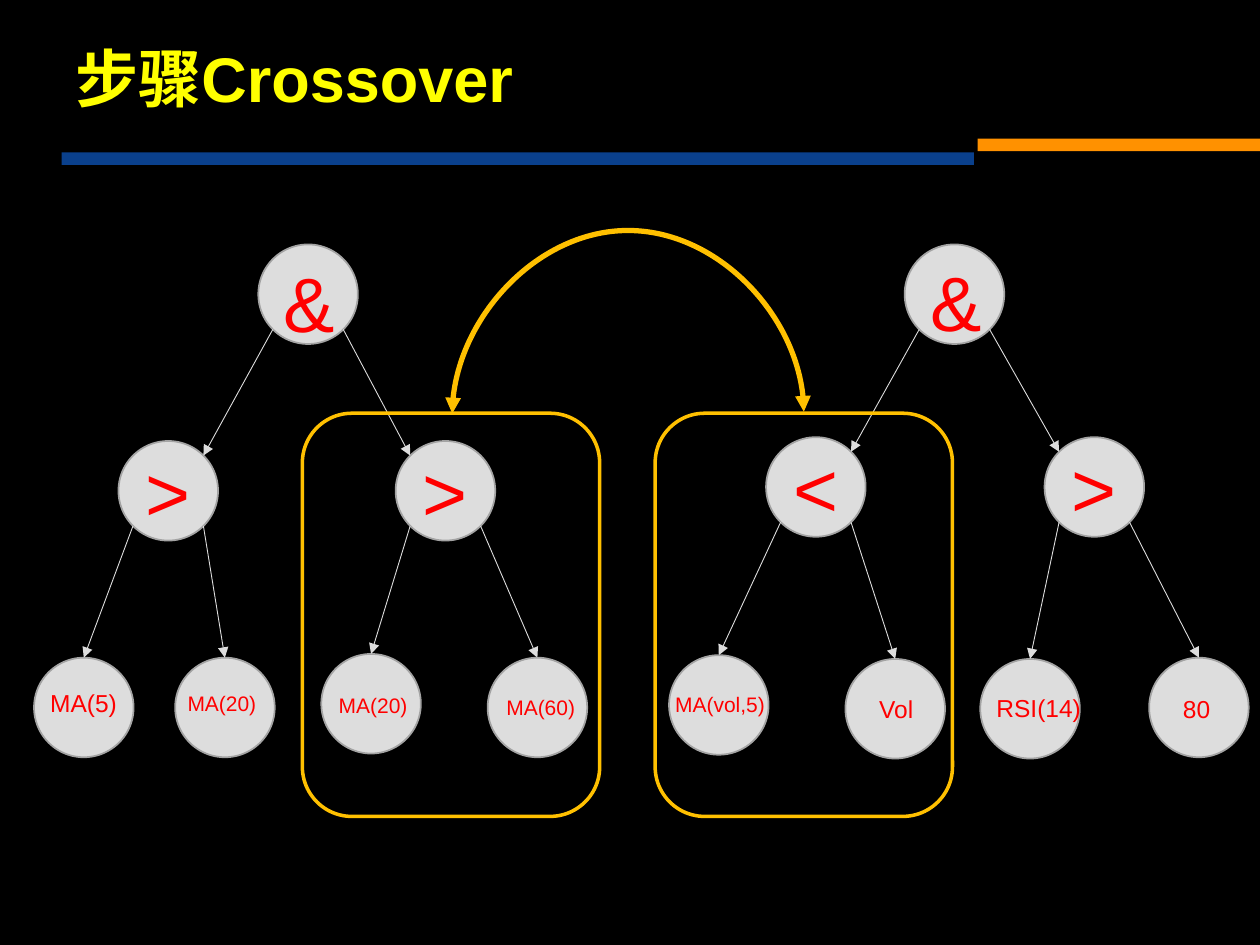
from math import sqrt
from lxml import etree
from pptx import Presentation
from pptx import util as u
from pptx.dml.color import RGBColor
from pptx.enum import shapes, text
from pptx.oxml.ns import qn

WIDTH, HEIGHT = u.Inches(10), u.Inches(7.5)
COL, ROW = WIDTH / 100, HEIGHT / 75
NODE = 7.9
NEAR = NODE / 2 * (1 - 1 / sqrt(2))
FAR = NODE - NEAR
RED, GREY, GOLD = "FF0000", "DDDDDD", "FFC000"

# node: left, top; label: text, size, left, top, width, height
TREES = [
    {
        "root": (20.5, 19.4), "and": (21.5, 19.8),
        "branches": [
            (">", 9.4, 35, [
                (2.7, 52.2, "MA(5)", 14, 3, 54.1, 9.3),
                (13.9, 52.2, "MA(20)", 12, 13.9, 54.3, 7.7)]),
            (">", 31.4, 35, [
                (25.5, 51.9, "MA(20)", 12, 25.9, 54.5, 7.7),
                (38.7, 52.2, "MA(60)", 12, 39.2, 54.6, 11.8)]),
        ],
    },
    {
        "root": (71.8, 19.4), "and": (72.9, 19.7),
        "branches": [
            ("<", 60.8, 34.7, [
                (53.1, 52, "MA(vol,5)", 12, 52.6, 54.4, 9.8),
                (67.1, 52.3, "Vol", 14, 68.8, 54.6, 5.3)]),
            (">", 82.9, 34.7, [
                (77.8, 52.3, "RSI(14)", 14, 78.1, 54.5, 9),
                (91.2, 52.2, "80", 14, 92.9, 54.6, 12.4)]),
        ],
    },
]


def color(value):
    return RGBColor.from_string(value)


def grid(*values):
    return [round(v * (ROW if i % 2 else COL)) for i, v in enumerate(values)]


def add_run(tf, content, size, hue, bold=False):
    p = tf.paragraphs[0]
    r = p.add_run()
    r.text = content
    r.font.name = "Arial"
    r.font.size = u.Pt(size)
    r.font.bold = bold
    r.font.color.rgb = color(hue)
    return p


def add_label(s, box, content, size, hue=RED, bold=False,
              anchor=text.MSO_ANCHOR.TOP):
    tf = s.shapes.add_textbox(*grid(*box)).text_frame
    tf.word_wrap = True
    tf.vertical_anchor = anchor
    add_run(tf, content, size, hue, bold)


def add_shape(s, kind, box, fill=None, line=None, width=1):
    sp = s.shapes.add_shape(kind, *grid(*box))
    sp.shadow.inherit = False
    if fill:
        sp.fill.solid()
        sp.fill.fore_color.rgb = color(fill)
    else:
        sp.fill.background()
    if line:
        sp.line.color.rgb = color(line)
        sp.line.width = u.Pt(width)
    else:
        sp.line.fill.background()
    return sp


def add_node(s, left, top, operator=None):
    sp = add_shape(s, shapes.MSO_SHAPE.OVAL, (left, top, NODE, NODE), GREY, "A3A3A3")
    if operator:
        tf = sp.text_frame
        tf.word_wrap = False
        tf.vertical_anchor = text.MSO_ANCHOR.MIDDLE
        add_run(tf, operator, 44, RED).alignment = text.PP_ALIGN.CENTER


def add_arrow(s, kind, start, end, hue, width, ends=("tailEnd",)):
    cx = s.shapes.add_connector(kind, *grid(*start, *end))
    cx.line.color.rgb = color(hue)
    cx.line.width = u.Pt(width)
    ln = cx.line._get_or_add_ln()
    for end_name in ends:
        etree.SubElement(ln, qn("a:" + end_name), type="triangle")
    etree.SubElement(cx._element.spPr, qn("a:effectLst"))
    return cx


def add_edge(s, parent, child, side, to_leaf):
    start = (parent[0] + (FAR if side else NEAR), parent[1] + FAR)
    if to_leaf:
        end = (child[0] + NODE / 2, child[1])
    else:
        end = (child[0] + (NEAR if side else FAR), child[1] + NEAR)
    add_arrow(s, shapes.MSO_CONNECTOR.STRAIGHT, start, end, GREY, 0.5)


def add_tree(s, tree):
    root = tree["root"]
    add_node(s, *root)
    add_label(s, (*tree["and"], 4.3, 8.4), "&", 44)
    for side, (operator, left, top, leaves) in enumerate(tree["branches"]):
        add_node(s, left, top, operator)
        add_edge(s, root, (left, top), side, False)
        for leaf_side, (x, y, name, size, lx, ly, width) in enumerate(leaves):
            add_node(s, x, y)
            add_edge(s, (left, top), (x, y), leaf_side, True)
            add_label(s, (lx, ly, width, size / 4), name, size)


def add_swap(s, first, second):
    cx = add_arrow(s, shapes.MSO_CONNECTOR.CURVE, (49.91, 46.7), (49.77, 18.8),
                   GOLD, 3, ("headEnd", "tailEnd"))
    left, top, width, height = cx.left, cx.top, cx.width, cx.height
    cx.begin_connect(first, 0)
    cx.end_connect(second, 0)
    cx.left, cx.top, cx.width, cx.height = left, top, width, height
    xfrm = cx._element.spPr.find(qn("a:xfrm"))
    for key, value in (("rot", "5400000"), ("flipH", "1"), ("flipV", "1")):
        xfrm.set(key, value)
    geom = cx._element.spPr.find(qn("a:prstGeom"))
    guides = geom.find(qn("a:avLst"))
    if guides is None:
        guides = etree.SubElement(geom, qn("a:avLst"))
    etree.SubElement(guides, qn("a:gd"), name="adj1", fmla="val 10249000")


def main():
    prs = Presentation()
    prs.slide_width, prs.slide_height = WIDTH, HEIGHT
    s = prs.slides.add_slide(prs.slide_layouts[6])
    s.background.fill.solid()
    s.background.fill.fore_color.rgb = color("000000")
    rect = shapes.MSO_SHAPE.RECTANGLE
    add_shape(s, rect, (4.9, 12.1, 72.4, 1), "0A408C")
    add_shape(s, rect, (77.6, 11, 22.4, 1), "FF9100")
    add_label(s, (5, 2.9, 90, 6.4), "步骤Crossover", 36, "FFFF00", True,
              text.MSO_ANCHOR.MIDDLE)
    for tree in TREES:
        add_tree(s, tree)
    swapped = [add_shape(s, shapes.MSO_SHAPE.ROUNDED_RECTANGLE,
                         (left, 32.8, 23.6, 32), line=GOLD, width=2)
               for left in (24, 52)]
    add_swap(s, *swapped)
    prs.save("out.pptx")


if __name__ == "__main__":
    main()
